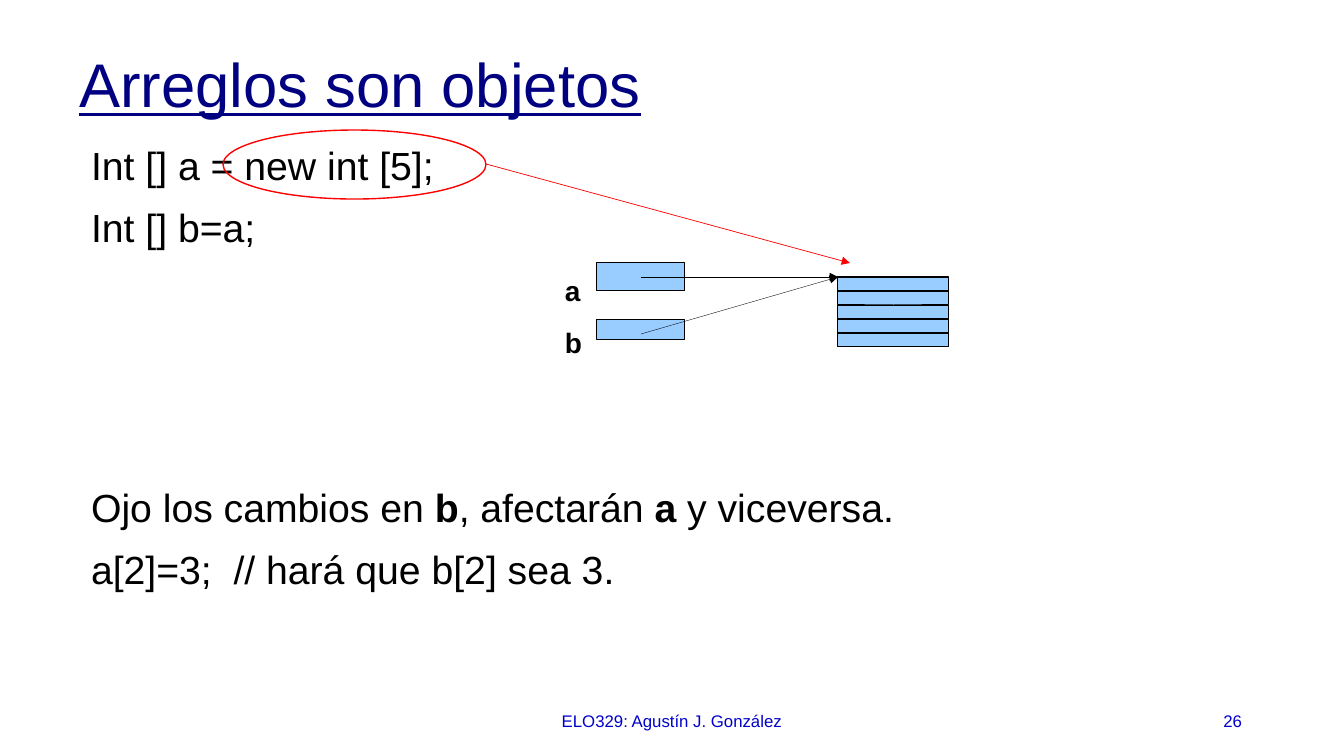
from dataclasses import dataclass

from pptx import Presentation
from pptx.dml.color import RGBColor as Rgb
from pptx.enum.shapes import MSO_CONNECTOR as Link, MSO_SHAPE as Form
from pptx.enum.text import MSO_ANCHOR as Anchor, MSO_AUTO_SIZE as Fit, PP_ALIGN as Align
from pptx.oxml.ns import qn
from pptx.util import Emu, Pt

SCALE = 914400 / 100.8


@dataclass(frozen=True)
class Theme:
    """Colours, font and type sizes of the slide."""
    font: str = "Arial"
    navy: str = "000080"
    blue: str = "0000CC"
    sky: str = "99CCFF"
    red: str = "FF0000"
    black: str = "000000"
    title: int = 44
    body: int = 28
    label: int = 20
    foot: int = 12


THEME = Theme()


def px(*sizes):
    """Turn pixels into EMU."""
    return [Emu(round(size * SCALE)) for size in sizes]


def add_run(para, text, size, color, bold=False, under=False):
    """Append one formatted run."""
    run = para.add_run()
    run.text = text
    font = run.font
    font.name, font.size, font.bold = THEME.font, Pt(size), bold
    font.underline = under
    font.color.rgb = Rgb.from_string(color)


def place(shape, box):
    """Move a placeholder and fix its text size."""
    shape.left, shape.top, shape.width, shape.height = px(*box)
    shape.text_frame.auto_size = Fit.NONE
    return shape.text_frame


def add_title(slide, text, box):
    """Fill the title placeholder."""
    frame = place(slide.shapes.title, box)
    frame.vertical_anchor = Anchor.MIDDLE
    para = frame.paragraphs[0]
    para.alignment, para.line_spacing = Align.LEFT, 0.9
    add_run(para, text, THEME.title, THEME.navy, under=True)


def add_body(slide, lines, box):
    """Fill the body with (space before, runs) lines; odd runs are bold."""
    frame = place(slide.placeholders[1], box)
    for i, (gap, runs) in enumerate(lines):
        para = frame.add_paragraph() if i else frame.paragraphs[0]
        para.space_before, para.space_after = Pt(gap), Pt(5.4)
        props = para._p.get_or_add_pPr()
        props.set("marL", str(px(12)[0]))
        props.set("indent", "0")
        props.append(props.makeelement(qn("a:buNone"), {}))
        for j, text in enumerate(runs):
            add_run(para, text, THEME.body, THEME.black, bold=j % 2 == 1)


def add_text(slide, text, box, size, color, align=Align.LEFT, anchor=Anchor.TOP, bold=False):
    """Add a one-line text box."""
    frame = slide.shapes.add_textbox(*px(*box)).text_frame
    frame.word_wrap, frame.vertical_anchor = True, anchor
    para = frame.paragraphs[0]
    para.alignment = align
    add_run(para, text, size, color, bold)


def add_form(slide, form, box, line, width, fill=None):
    """Add an outlined shape, filled if a colour is given."""
    shape = slide.shapes.add_shape(form, *px(*box))
    shape.shadow.inherit = False
    if fill:
        shape.fill.solid()
        shape.fill.fore_color.rgb = Rgb.from_string(fill)
    else:
        shape.fill.background()
    shape.line.color.rgb = Rgb.from_string(line)
    shape.line.width = Pt(width)


def add_cell(slide, box):
    """Add one memory cell."""
    add_form(slide, Form.RECTANGLE, box, THEME.black, 0.75, THEME.sky)


def add_arrow(slide, start, end, color, width):
    """Add a straight arrow."""
    arrow = slide.shapes.add_connector(Link.STRAIGHT, *px(*start, *end))
    arrow.line.color.rgb = Rgb.from_string(color)
    arrow.line.width = Pt(width)
    line = arrow.line._get_or_add_ln()
    line.append(line.makeelement(qn("a:tailEnd"), {"type": "triangle"}))
    props = arrow._element.spPr
    props.append(props.makeelement(qn("a:effectLst"), {}))


def main():
    """Build and save the slide."""
    deck = Presentation()
    deck.slide_width, deck.slide_height = px(1344, 756)
    slide = deck.slides.add_slide(deck.slide_layouts[1])

    add_title(slide, "Arreglos son objetos", (69, 40, 1218, 96))
    near, far = 5.3, 161
    add_body(slide, [
        (near, ["Int [] a = new int [5];"]),
        (near, ["Int [] b=a;"]),
        (far, ["Ojo los cambios en ", "b", ", afectarán ", "a", " y viceversa."]),
        (near, ["a[2]=3;  // hará que b[2] sea 3."]),
    ], (69, 136, 1218, 564))

    for text, left, width, align in (
            ("ELO329: Agustín J. González", 445, 454, Align.CENTER),
            ("26", 949, 303, Align.RIGHT)):
        add_text(slide, text, (left, 701, width, 40), THEME.foot, THEME.blue,
                 align, Anchor.MIDDLE)

    array, step = (838, 277), 14
    for i in range(5):
        add_cell(slide, (array[0], array[1] + i * step, 111, step))

    for name, top, high, base, start in (
            ("a", 263, 28, 269, 277), ("b", 320, 20, 321, 334)):
        add_cell(slide, (597, top, 88, high))
        add_text(slide, name, (555, base, 44, 38), THEME.label, THEME.black, bold=True)
        add_arrow(slide, (641, start), array, THEME.black, 0.25)

    add_form(slide, Form.OVAL, (223, 130, 263, 69), THEME.red, 1)
    add_arrow(slide, (486, 164), (850, 263), THEME.red, 0.5)
    deck.save("out.pptx")


main()
